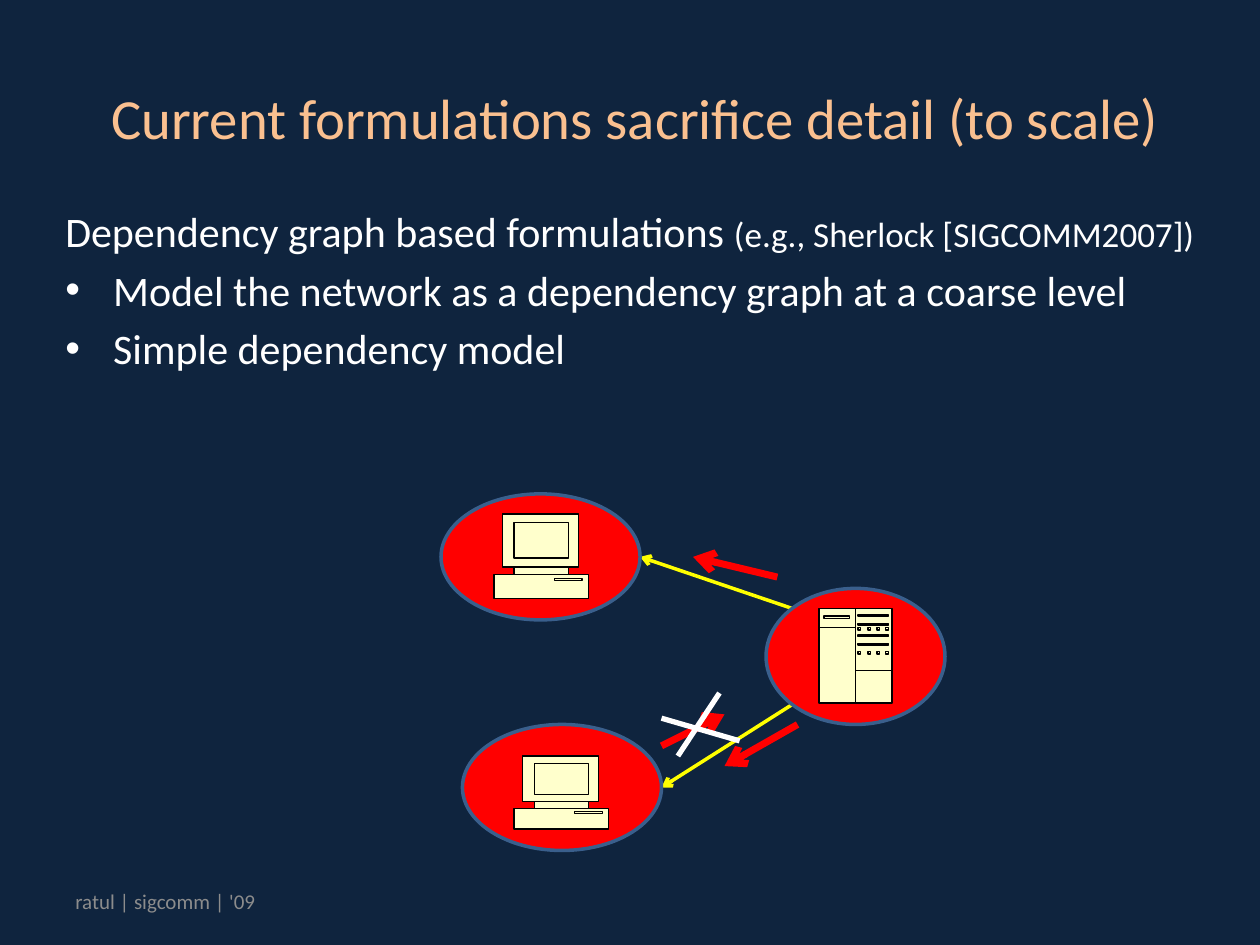
from lxml import etree
from pptx import Presentation
from pptx.dml.color import RGBColor
from pptx.enum.shapes import MSO_CONNECTOR, MSO_SHAPE
from pptx.enum.text import MSO_ANCHOR, PP_ALIGN
from pptx.oxml.ns import qn
from pptx.util import Inches, Pt

NAVY = RGBColor(0x0F, 0x24, 0x3E)
PEACH = RGBColor(0xFA, 0xC0, 0x90)
WHITE = RGBColor(0xFF, 0xFF, 0xFF)
GREY = RGBColor(0x8C, 0x8C, 0x8C)
YELLOW = RGBColor(0xFF, 0xFF, 0x00)
RED = RGBColor(0xFF, 0x00, 0x00)
BLUE = RGBColor(0x3A, 0x5F, 0x8C)
CREAM = RGBColor(0xFF, 0xFF, 0xCC)
BLACK = RGBColor(0x00, 0x00, 0x00)
STRAIGHT = MSO_CONNECTOR.STRAIGHT
OVAL = MSO_SHAPE.OVAL
TOP, MIDDLE = MSO_ANCHOR.TOP, MSO_ANCHOR.MIDDLE
LEFT, CENTER = PP_ALIGN.LEFT, PP_ALIGN.CENTER
FONT = "Calibri"
HANG = 0.38


def add_text_box(page, left, top, width, height, anchor=TOP):
    box = page.shapes.add_textbox(*map(Inches, (left, top, width, height)))
    box.text_frame.word_wrap = True
    box.text_frame.vertical_anchor = anchor
    return box


def write(para, text, size, color):
    span = para.add_run()
    span.text = text
    span.font.name = FONT
    span.font.size = Pt(size)
    span.font.color.rgb = color


def add_label(page, text, *place, size, color, align=LEFT):
    box = add_text_box(page, *place, anchor=MIDDLE)
    para = box.text_frame.paragraphs[0]
    para.alignment = align
    write(para, text, size, color)


def format_point(para, bullet):
    para.space_before = Pt(4.8)
    properties = para._p.get_or_add_pPr()
    properties.set("marL", str(Inches(HANG)))
    properties.set("indent", str(-Inches(HANG)))
    if bullet:
        etree.SubElement(properties, qn("a:buFont")).set("typeface", "Arial")
        etree.SubElement(properties, qn("a:buChar")).set("char", "•")
    else:
        etree.SubElement(properties, qn("a:buNone"))


def add_body(page):
    frame = add_text_box(page, 0.42, 1.58, 9.17, 2).text_frame
    heading = frame.paragraphs[0]
    format_point(heading, bullet=False)
    write(heading, "Dependency graph based formulations ", 24, WHITE)
    write(heading, "(e.g., Sherlock [SIGCOMM2007])", 20, WHITE)
    for point in ("Model the network as a dependency graph at a coarse level",
                  "Simple dependency model"):
        para = frame.add_paragraph()
        format_point(para, bullet=True)
        write(para, point, 24, WHITE)


def add_line(shapes, start, end, color, width, arrow=True):
    line = shapes.add_connector(STRAIGHT, *map(Inches, start + end))
    line.line.color.rgb = color
    line.line.width = Pt(width)
    if arrow:
        etree.SubElement(line.line._get_or_add_ln(), qn("a:tailEnd")).set("type", "arrow")
    etree.SubElement(line._element.spPr, qn("a:effectLst"))


def add_node(page, left, top, width, height):
    node = page.shapes.add_shape(OVAL, *map(Inches, (left, top, width, height)))
    node.shadow.inherit = False
    node.fill.solid()
    node.fill.fore_color.rgb = RED
    node.line.color.rgb = BLUE
    node.line.width = Pt(2)


def rectangle(left, top, right, bottom):
    return [(left, top), (right, top), (right, bottom), (left, bottom), (left, top)]


def draw_contours(shapes, contours, left, top, stretch, filled):
    placed = [[(Inches(left + x), Inches(top + y * stretch)) for x, y in contour]
              for contour in contours]
    builder = shapes.build_freeform(*placed[0][0])
    builder.add_line_segments(placed[0][1:], close=filled)
    for contour in placed[1:]:
        builder.move_to(*contour[0])
        builder.add_line_segments(contour[1:], close=False)
    shape = builder.convert_to_shape()
    shape.shadow.inherit = False
    if filled:
        shape.fill.solid()
        shape.fill.fore_color.rgb = CREAM
    else:
        shape.fill.background()
    shape.line.color.rgb = BLACK
    shape.line.width = Pt(0.75)


def add_icon(page, outline, details, left, top, stretch=1.0):
    shapes = page.shapes.add_group_shape().shapes
    draw_contours(shapes, [outline], left, top, stretch, filled=True)
    draw_contours(shapes, details, left, top, stretch, filled=False)


def add_computer(page, left, top, height):
    outline = [(0.59, 0.48), (0.59, 0.42), (0.67, 0.42), (0.67, 0), (0.07, 0),
               (0.07, 0.42), (0.16, 0.42), (0.16, 0.48), (0, 0.48),
               (0, 0.67), (0.75, 0.67), (0.75, 0.48)]
    neck = rectangle(0.16, 0.42, 0.59, 0.48)
    screen = rectangle(0.16, 0.07, 0.59, 0.35)
    slot = rectangle(0.48, 0.51, 0.7, 0.53)
    add_icon(page, outline, [neck, screen, slot], left, top, height / 0.67)


def add_server(page, left, top):
    outline = [(0, 0), (0.58, 0), (0.58, 0.75), (0, 0.75)]
    drive = rectangle(0.04, 0.06, 0.24, 0.08)
    panel = [(0, 0.15), (0.29, 0.15), (0.29, 0.49), (0.58, 0.49)]
    divider = [(0.29, 0), (0.29, 0.75)]
    vents = [rectangle(0.31, y, 0.55, y + 0.01) for y in (0.05, 0.12, 0.21, 0.28)]
    lights = [rectangle(x, y, x + 0.02, y + 0.02)
              for y in (0.15, 0.34) for x in (0.31, 0.39, 0.46, 0.53)]
    add_icon(page, outline, [drive, panel, divider, *vents, *lights], left, top)


def main():
    deck = Presentation()
    deck.slide_width, deck.slide_height = Inches(10), Inches(7.5)
    page = deck.slides.add_slide(deck.slide_layouts[6])
    page.background.fill.solid()
    page.background.fill.fore_color.rgb = NAVY

    add_label(page, "Current formulations sacrifice detail (to scale)",
              0.33, 0.3, 9.42, 1.25, size=32.4, color=PEACH, align=CENTER)
    add_body(page)
    add_label(page, "ratul | sigcomm | '09", 0.5, 6.95, 3.08, 0.4, size=12, color=GREY)

    add_line(page.shapes, (6.29, 4.83), (5.08, 4.42), YELLOW, 2)
    add_line(page.shapes, (6.29, 5.59), (5.25, 6.25), YELLOW, 2)
    add_node(page, 6.08, 4.67, 1.42, 1.08)
    add_node(page, 3.5, 3.92, 1.58, 1)
    add_node(page, 3.67, 5.75, 1.58, 1)
    for start, end in (((6.17, 4.58), (5.5, 4.42)),
                       ((6.33, 5.75), (5.75, 6.08)),
                       ((5.25, 5.92), (5.75, 5.67))):
        add_line(page.shapes, start, end, RED, 4)

    cross = page.shapes.add_group_shape().shapes
    add_line(cross, (5.25, 5.7), (5.87, 5.88), WHITE, 3, arrow=False)
    add_line(cross, (5.38, 6), (5.71, 5.5), WHITE, 3, arrow=False)

    add_computer(page, 3.92, 4.08, 0.67)
    add_server(page, 6.5, 4.83)
    add_computer(page, 4.08, 6, 0.58)
    deck.save("out.pptx")


if __name__ == "__main__":
    main()
